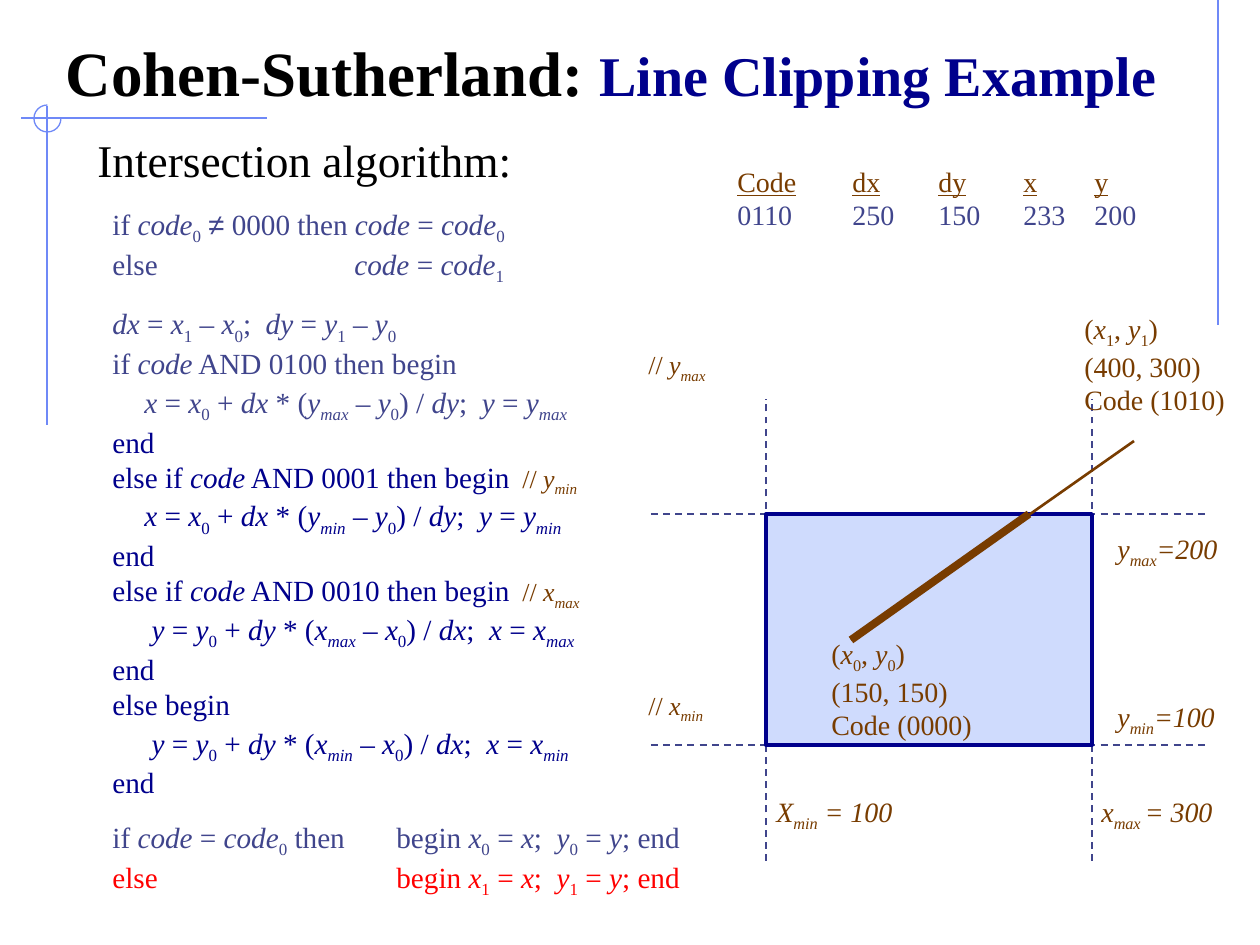
import pptx
import pptx.dml.color
import pptx.enum.dml
import pptx.enum.shapes
import pptx.enum.text
import pptx.oxml.ns
import pptx.util
from lxml import etree

RGBColor = pptx.dml.color.RGBColor
BLACK = RGBColor(0x00, 0x00, 0x00)
NAVY = RGBColor(0x00, 0x00, 0x8C)
SLATE = RGBColor(0x40, 0x45, 0x8C)
BROWN = RGBColor(0x78, 0x3C, 0x00)
RED = RGBColor(0xFF, 0x00, 0x00)
SKY = RGBColor(0x6F, 0x89, 0xF7)
PALE = RGBColor(0xCF, 0xDB, 0xFD)

INCH = 126
SCALE = 914400 / INCH
SERIF = "Times New Roman"
CODE_SIZE = 16.7
NOTE_SIZE = 14.8
LABEL_SIZE = 16
ELSE_TAB = 210

OPENERS = {"«": "italic", "[": "sub", "<": "italic sub", "{": "sans"}
CLOSERS = "»]>}"

LEFT, RIGHT, TOP, BOTTOM = 766, 1092, 514, 745


def emu(px):
    """Turn px into EMU."""
    return pptx.util.Emu(round(px * SCALE))


def add_span(para, text, size, color, style=""):
    """Add one formatted run to a paragraph."""
    span = para.add_run()
    span.text = text
    span.font.name = "Arial" if style == "sans" else SERIF
    span.font.size = pptx.util.Pt(size)
    span.font.color.rgb = color
    span.font.italic = "italic" in style
    if "sub" in style:
        span.font._element.set("baseline", "-25000")
    return span


def add_markup(para, markup, size, color):
    """Split «italic», [subscript], <italic subscript> and {sans} text into runs."""
    text, style = "", ""
    for char in markup:
        if char in OPENERS or char in CLOSERS:
            if text:
                add_span(para, text, size, color, style)
            text, style = "", OPENERS.get(char, "")
        else:
            text += char
    if text:
        add_span(para, text, size, color, style)


def set_indent(para, margin, hanging, tab_step=INCH):
    """Give a paragraph a hanging indent and evenly spaced tab stops."""
    props = para._p.get_or_add_pPr()
    props.set("marL", str(emu(margin)))
    props.set("indent", str(-emu(hanging)))
    props.set("defTabSz", str(emu(tab_step)))
    tabs = etree.SubElement(props, pptx.oxml.ns.qn("a:tabLst"))
    for count in range(1, 6):
        etree.SubElement(tabs, pptx.oxml.ns.qn("a:tab"),
                         pos=str(emu(count * tab_step)), algn="l")


def next_para(frame, first):
    """Return the first paragraph of a frame or add another."""
    return frame.paragraphs[0] if first else frame.add_paragraph()


def add_line(page, start, end, color, width, dashed=False):
    """Draw a straight line between two points."""
    line = page.shapes.add_connector(
        pptx.enum.shapes.MSO_CONNECTOR.STRAIGHT, *map(emu, (*start, *end)))
    line.line.color.rgb = color
    line.line.width = pptx.util.Pt(width)
    if dashed:
        line.line.dash_style = pptx.enum.dml.MSO_LINE.DASH
    etree.SubElement(line._element.spPr, pptx.oxml.ns.qn("a:effectLst"))


def add_outline(page, preset, bounds, color, width):
    """Add an unfilled preset shape with a coloured outline."""
    shape = page.shapes.add_shape(preset, *map(emu, bounds))
    shape.shadow.inherit = False
    shape.fill.background()
    shape.line.color.rgb = color
    shape.line.width = pptx.util.Pt(width)
    return shape


def add_label(page, bounds, lines):
    """Add a brown, unwrapped label of one or more lines."""
    frame = page.shapes.add_textbox(*map(emu, bounds)).text_frame
    frame.word_wrap = False
    frame.auto_size = pptx.enum.text.MSO_AUTO_SIZE.SHAPE_TO_FIT_TEXT
    for index, markup in enumerate(lines):
        add_markup(next_para(frame, index == 0), markup, LABEL_SIZE, BROWN)


def add_column(page, left, width, heading, value):
    """Add an underlined heading with its value below."""
    frame = page.shapes.add_textbox(*map(emu, (left, 158, width, 113))).text_frame
    frame.word_wrap = False
    add_span(next_para(frame, True), heading, LABEL_SIZE, BROWN).font.underline = True
    add_span(next_para(frame, False), value, LABEL_SIZE, SLATE)


def add_title(page):
    """Place and fill the title."""
    title = page.shapes.title
    title.left, title.top, title.width, title.height = map(emu, (53, 31, 1176, 84))
    frame = title.text_frame
    frame.auto_size = pptx.enum.text.MSO_AUTO_SIZE.NONE
    frame.vertical_anchor = pptx.enum.text.MSO_ANCHOR.BOTTOM
    para = frame.paragraphs[0]
    para.alignment = pptx.enum.text.PP_ALIGN.LEFT
    add_span(para, "Cohen-Sutherland: ", 36, BLACK).font.bold = True
    add_span(para, "Line Clipping Example", 32, NAVY).font.bold = True


def formula(lead, this, other, bound):
    """Write the intersection of the line with one boundary."""
    return (f"{lead}«{this}» = «{this}»[0] + «d{this}» * («{other}»<{bound}> – «{other}»[0]) / "
            f"«d{other}»;  «{other}» = «{other}»<{bound}>")


def add_algorithm(page):
    """Write the heading and the pseudocode."""
    frame = page.shapes.add_textbox(*map(emu, (53, 126, 1155, 777))).text_frame
    frame.word_wrap = True
    heading = next_para(frame, True)
    set_indent(heading, 32, 32)
    add_span(heading, "\tIntersection algorithm:", 25.9, BLACK)
    steps = [
        (SLATE, "if «code»[0] {≠} 0000 then «code» = «code»[0]", "", True),
        (SLATE, "else\t«code» = «code»[1]", "", False),
        (SLATE, "«dx» = «x»[1] – «x»[0];  «dy» = «y»[1] – «y»[0]", "", True),
        (SLATE, "if «code» AND 0100 then begin\t\t", "// «y»<max>", False),
        (SLATE, formula("\t", "x", "y", "max"), "", False),
        (NAVY, "end", "", False),
        (NAVY, "else if «code» AND 0001 then begin\t", "// «y»<min>", False),
        (NAVY, formula(" \t", "x", "y", "min"), "", False),
        (NAVY, "end", "", False),
        (NAVY, "else if «code» AND 0010 then begin\t", "// «x»<max>", False),
        (NAVY, formula(" \t ", "y", "x", "max"), "", False),
        (NAVY, "end", "", False),
        (NAVY, "else begin\t\t\t\t", "// «x»<min>", False),
        (NAVY, formula(" \t ", "y", "x", "min"), "", False),
        (NAVY, "end", "", False),
        (SLATE, "if «code» = «code»[0] then\tbegin «x»[0] = «x»;  «y»[0] = «y»; end", "", True),
        (RED, "else\t\tbegin «x»[1] = «x»;  «y»[1] = «y»; end", "", False),
    ]
    for color, code, note, starts_block in steps:
        para = next_para(frame, False)
        para.space_before = pptx.util.Pt(11.2 if starts_block else 0)
        set_indent(para, 79, 32, ELSE_TAB if code.startswith("else\t«") else INCH)
        add_markup(para, code, CODE_SIZE, color)
        add_markup(para, note, NOTE_SIZE, BROWN)


def add_ornament(page):
    """Draw the thin blue rules and the open circle."""
    for start, end in (((1218, 0), (1218, 325)), ((267, 118), (21, 118)), ((47, 106), (47, 425))):
        add_line(page, start, end, SKY, 0.75)
    arc = add_outline(page, pptx.enum.shapes.MSO_SHAPE.ARC, (34, 105, 27, 27), SKY, 0.75)
    arc.adjustments[0] = 0
    arc.adjustments[1] = 162


def add_diagram(page):
    """Draw the clip window, the clipped line and their labels."""
    for x in (LEFT, RIGHT):
        add_line(page, (x, 861), (x, 399), SLATE, 1, True)
    for y in (TOP, BOTTOM):
        add_line(page, (651, y), (1207, y), SLATE, 1, True)
    window = add_outline(page, pptx.enum.shapes.MSO_SHAPE.RECTANGLE,
                         (LEFT, TOP, RIGHT - LEFT, BOTTOM - TOP), NAVY, 2.25)
    window.fill.solid()
    window.fill.fore_color.rgb = PALE
    add_label(page, (1072, 305, 170, 118), ["(«x»[1], «y»[1])", "(400, 300)", "Code (1010)"])
    add_label(page, (819, 630, 170, 118), ["(«x»[0], «y»[0])", "(150, 150)", "Code (0000)"])
    add_label(page, (1105, 525, 130, 52), ["«y»<max>«=200»"])
    add_label(page, (1105, 693, 130, 52), ["«y»<min>«=100»"])
    add_label(page, (764, 788, 145, 52), ["«X»<min>« = 100»"])
    add_label(page, (1089, 788, 140, 52), ["«x»<max >«= 300»"])
    add_line(page, (851, 640), (1134, 441), BROWN, 1.5)
    add_line(page, (851, 640), (1029, TOP), BROWN, 4.5)


def main():
    """Build the slide and save it."""
    deck = pptx.Presentation()
    deck.slide_width, deck.slide_height = emu(1260), emu(945)
    page = deck.slides.add_slide(deck.slide_layouts[5])
    add_ornament(page)
    add_title(page)
    add_algorithm(page)
    add_diagram(page)
    for column in ((725, 84, "Code", "0110"), (840, 67, "dx", "250"), (926, 67, "dy", "150"),
                   (1011, 67, "x", "233"), (1082, 67, "y", "200")):
        add_column(page, *column)
    deck.save("out.pptx")


if __name__ == "__main__":
    main()
